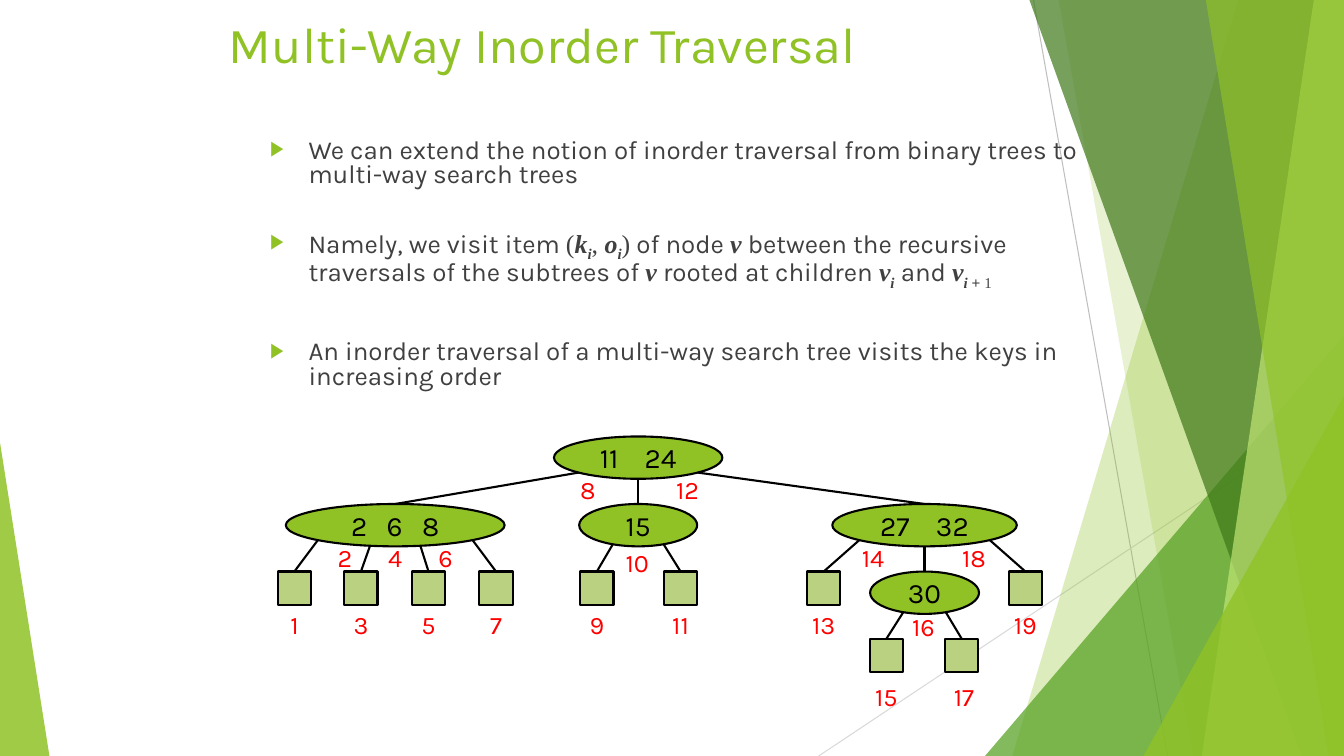
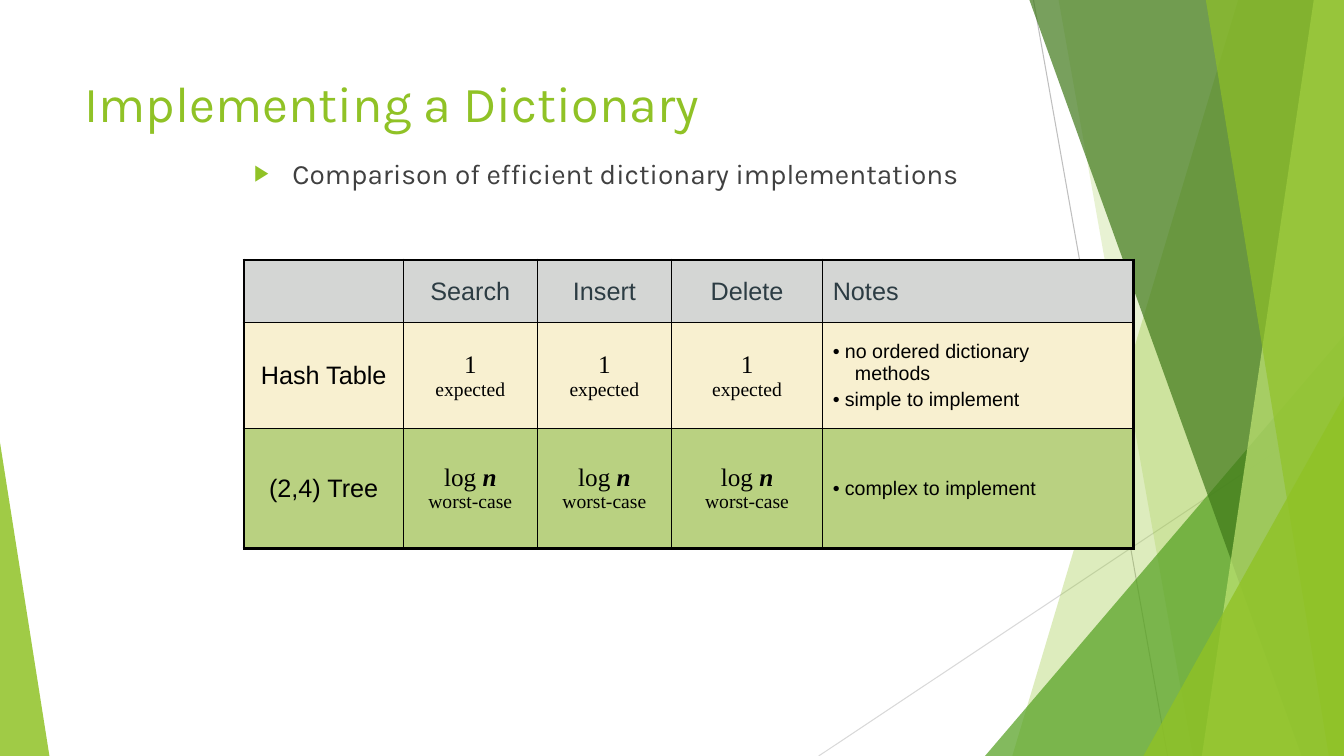
import math

from lxml import etree
from pptx import Presentation
from pptx.dml.color import RGBColor
from pptx.enum import shapes, text
from pptx.oxml import ns
from pptx.util import Inches, Pt

WIDTH, HEIGHT = 13.33, 7.5
GREEN = RGBColor(0x90, 0xC2, 0x26)
MID_GREEN = RGBColor(0x54, 0xA0, 0x21)
DARK_GREEN = RGBColor(0x3F, 0x78, 0x19)
LIME = RGBColor(0xC0, 0xE4, 0x74)
SAGE = RGBColor(0xB9, 0xD1, 0x81)
CREAM = RGBColor(0xF8, 0xF0, 0xD0)
SILVER = RGBColor(0xD4, 0xD6, 0xD4)
SLATE = RGBColor(0x2C, 0x3C, 0x43)
BODY_GREY = RGBColor(0x40, 0x40, 0x40)
LINE_GREY = RGBColor(0xBF, 0xBF, 0xBF)
PALE_GREY = RGBColor(0xD9, 0xD9, 0xD9)
RED = RGBColor(0xFF, 0, 0)
BLACK = RGBColor(0, 0, 0)
KARLA, ARIAL, TIMES = "Karla", "Arial", "Times New Roman"
LEFT, CENTER = text.PP_ALIGN.LEFT, text.PP_ALIGN.CENTER

# Background: hairlines, then facets from back to front
HAIRLINES = [((10.25, 0), (11.58, HEIGHT), LINE_GREY),
             ((WIDTH, 4.03), (8.12, HEIGHT), PALE_GREY)]
# panel: left edge at top and bottom; triangle: left, top, width, apex
FACETS = [
    ("panel", (12.28, 10.04), GREEN, 30),
    ("panel", (10.5, 11.83), GREEN, 20),
    ("triangle", (9.77, 3.33, 3.56, 1), MID_GREEN, 72),
    ("panel", (10.21, 12.91), DARK_GREEN, 70),
    ("panel", (13.03, 11.92), LIME, 70),
    ("panel", (11.96, 13.18), GREEN, 65),
    ("triangle", (11.34, 3.93, 1.99, 1), GREEN, 80),
    ("triangle", (0, 4.39, 0.49, 0), GREEN, 85),
]

MATH = {"font": TIMES}
SYMBOL = {"font": TIMES, "bold": True, "italic": True}
INDEX = {**SYMBOL, "baseline": -25}

# Bullets: space before in points, spans
TRAVERSAL = [
    (0, [("We can extend the notion of inorder traversal from binary trees to "
          "multi-way search trees", {})]),
    (30, [("Namely, we visit item ", {}), ("(", MATH), ("k", SYMBOL), ("i", INDEX),
          (", ", MATH), ("o", SYMBOL), ("i", INDEX), (")", MATH),
          (" of node ", {}), ("v", SYMBOL),
          (" between the recursive traversals of the subtrees of ", {}),
          ("v", SYMBOL), (" rooted at children ", {}), ("v", SYMBOL), ("i", INDEX),
          (" and ", {}), ("v", SYMBOL), ("i ", INDEX),
          ("+ ", {"font": ARIAL, "baseline": -25}),
          ("1", {"font": TIMES, "baseline": -25})]),
    (38, [("An inorder traversal of a multi-way search tree visits the keys in "
           "increasing order", {})]),
]
COMPARISON = [(0, [("Comparison of efficient dictionary implementations", {})])]

# Tree: centre, level, width, keys, extra space between keys in points
TREE_TOP, LEVEL_STEP = 4.33, 0.67
NODE_HEIGHT, LEAF = 0.42, 0.33
NODES = {
    "root": (6.33, 0, 1.67, ["11", "24"], 14),
    "left": (3.92, 1, 2.17, ["2", "6", "8"], 9),
    "middle": (6.33, 1, 1.17, ["15"], 0),
    "right": (9.17, 1, 1.83, ["27", "32"], 14),
    "inner": (9.17, 2, 1.08, ["30"], 0),
}
LEAVES = {2: [2.92, 3.58, 4.25, 4.92, 5.92, 6.75, 8.17, 10.17],
          3: [8.79, 9.54]}
# Children with where their edge leaves the parent, as a share of its half width
CORNER = math.sqrt(0.5)
EDGES = {
    "root": [("left", -CORNER), ("middle", 0), ("right", CORNER)],
    "left": [(2.92, -CORNER), (3.58, -0.23), (4.25, 0.23), (4.92, CORNER)],
    "middle": [(5.92, -0.43), (6.75, 0.43)],
    "right": [(8.17, -CORNER), ("inner", 0), (10.17, CORNER)],
    "inner": [(8.79, -0.39), (9.54, 0.39)],
}
# Visit numbers: top of the row, then number and centre
VISITS = {
    4.66: [("8", 5.83), ("12", 6.82)],
    5.33: [("2", 3.42), ("4", 3.92), ("6", 4.42), ("14", 8.66), ("18", 9.66)],
    5.38: [("10", 6.32)],
    6.0: list(zip(["1", "3", "5", "7", "9", "11", "13", "19"], LEAVES[2])),
    6.02: [("16", 9.16)],
    6.71: [("15", 8.79), ("17", 9.56)],
}

# Table: every cell is a list of lines, each line a list of spans
COLUMNS = [1.58, 1.33, 1.33, 1.5, 3.08]
ROWS = [(0.62, SILVER), (1.05, CREAM), (1.19, SAGE)]
HEAD = {"font": ARIAL, "color": SLATE}
NAME = {"font": ARIAL}
SMALL = {"font": TIMES, "size": 14}
EXPECTED = [[("1", MATH)], [("expected", SMALL)]]
WORST_CASE = [[("log ", MATH), ("n", SYMBOL)], [("worst-case", SMALL)]]
CELLS = [
    [[]] + [[[(label, HEAD)]] for label in ("Search", "Insert", "Delete", "Notes")],
    [[[("Hash Table", NAME)]]] + [EXPECTED] * 3,
    [[[("(2,4) Tree", NAME)]]] + [WORST_CASE] * 3,
]
# Notes by row: text, bulleted or continued
NOTES = {1: [("no ordered dictionary", True), ("methods", False),
             ("simple to implement", True)],
         2: [("complex to implement", True)]}


def add_element(parent, tag, **attributes):
    return etree.SubElement(parent, ns.qn(tag), attributes)


def add_span(para, words, font=KARLA, size=18, color=BLACK, bold=False,
             italic=False, baseline=0, spacing=0):
    span = para.add_run()
    span.text = words
    span.font.name, span.font.size = font, Pt(size)
    span.font.bold, span.font.italic = bold, italic
    span.font.color.rgb = color
    properties = span._r.get_or_add_rPr()
    if baseline:
        properties.set("baseline", str(baseline * 1000))
    if spacing:
        properties.set("spc", str(spacing * 100))


def add_spans(para, spans, **common):
    for words, style in spans:
        add_span(para, words, **{**common, **style})


def set_indent(para, margin, first=0.0, bullet=None, color=None, percent=100):
    properties = para._p.get_or_add_pPr()
    properties.set("marL", str(Inches(margin)))
    properties.set("indent", str(Inches(first)))
    if bullet:
        if color is not None:
            holder = add_element(properties, "a:buClr")
            add_element(holder, "a:srgbClr", val=str(color))
        add_element(properties, "a:buSzPct", val=str(percent * 1000))
        add_element(properties, "a:buFont", typeface=ARIAL)
        add_element(properties, "a:buChar", char=bullet)


def set_box(shape, left, top, width, height):
    shape.left, shape.top = Inches(left), Inches(top)
    shape.width, shape.height = Inches(width), Inches(height)


def paint(shape, fill, outline=None, opacity=100):
    shape.shadow.inherit = False
    shape.fill.solid()
    shape.fill.fore_color.rgb = fill
    if opacity < 100:
        color = shape.element.xpath("./p:spPr/a:solidFill/a:srgbClr")[0]
        add_element(color, "a:alpha", val=str(opacity * 1000))
    if outline is None:
        shape.line.fill.background()
    else:
        shape.line.color.rgb, shape.line.width = outline, Pt(1.5)


def add_line(canvas, start, end, color, width):
    points = [Inches(value) for value in (*start, *end)]
    line = canvas.add_connector(shapes.MSO_CONNECTOR.STRAIGHT, *points)
    line.line.color.rgb, line.line.width = color, Pt(width)
    add_element(line.element.spPr, "a:effectLst")
    return line


def add_preset(canvas, kind, left, top, width, height):
    return canvas.add_shape(kind, Inches(left), Inches(top), Inches(width), Inches(height))


def decorate_master(deck, page):
    """Draw the background on a page, then move it behind the master's placeholders."""
    group = page.shapes.add_group_shape()
    for start, end, color in HAIRLINES:
        add_line(group.shapes, start, end, color, 0.75)
    for kind, place, color, opacity in FACETS:
        if kind == "panel":
            top_left, bottom_left = place
            corners = [(WIDTH, 0), (WIDTH, HEIGHT), (bottom_left, HEIGHT)]
            builder = group.shapes.build_freeform(Inches(top_left), 0)
            builder.add_line_segments([(Inches(x), Inches(y)) for x, y in corners])
            facet = builder.convert_to_shape()
        else:
            left, top, width, apex = place
            facet = add_preset(group.shapes, shapes.MSO_SHAPE.ISOSCELES_TRIANGLE,
                               left, top, width, HEIGHT - top)
            facet.adjustments[0] = apex
        paint(facet, color, opacity=opacity)
    for number, label in enumerate(group.element.xpath(".//p:cNvPr"), 100):
        label.set("id", str(number))
    deck.slide_master.shapes[0].element.addprevious(group.element)


def add_page(deck, title, title_box, bullets, body_box, size, line_spacing):
    page = deck.slides.add_slide(deck.slide_layouts[1])
    body = page.placeholders[1]
    for holder, place in ((page.shapes.title, title_box), (body, body_box)):
        set_box(holder, *place)
        holder.text_frame.auto_size = text.MSO_AUTO_SIZE.NONE
        holder.text_frame.vertical_anchor = text.MSO_ANCHOR.TOP
    heading = page.shapes.title.text_frame.paragraphs[0]
    heading.alignment = LEFT
    add_span(heading, title, size=36, color=GREEN)
    for number, (gap, spans) in enumerate(bullets):
        frame = body.text_frame
        para = frame.add_paragraph() if number else frame.paragraphs[0]
        set_indent(para, 0.38, -0.38, "▶", GREEN, 80)
        para.space_before, para.line_spacing = Pt(gap), line_spacing
        add_spans(para, spans, size=size, color=BODY_GREY)
    return page


def add_tree(page):
    drawn = {}
    for name, (center, level, width, keys, gap) in NODES.items():
        node = add_preset(page.shapes, shapes.MSO_SHAPE.OVAL, center - width / 2,
                          TREE_TOP + level * LEVEL_STEP, width, NODE_HEIGHT)
        paint(node, GREEN, BLACK)
        node.text_frame.word_wrap = False
        node.text_frame.vertical_anchor = text.MSO_ANCHOR.MIDDLE
        para = node.text_frame.paragraphs[0]
        para.alignment = CENTER
        for number, key in enumerate(keys):
            if number:
                add_span(para, " ", size=20, spacing=gap)
            add_span(para, key, size=20)
        drawn[name] = node
    for level, centers in LEAVES.items():
        for center in centers:
            drawn[center] = add_preset(page.shapes, shapes.MSO_SHAPE.RECTANGLE, center - LEAF / 2,
                                       TREE_TOP + level * LEVEL_STEP, LEAF, LEAF)
            paint(drawn[center], SAGE, BLACK)
    for parent, children in EDGES.items():
        center, level, width = NODES[parent][:3]
        middle = TREE_TOP + level * LEVEL_STEP + NODE_HEIGHT / 2
        for child, share in children:
            start = (center + share * width / 2,
                     middle + NODE_HEIGHT / 2 * math.sqrt(1 - share ** 2))
            edge = add_line(page.shapes, start, start, BLACK, 1.5)
            edge.end_connect(drawn[child], 0)
    for top, visits in VISITS.items():
        for number, center in visits:
            box = page.shapes.add_textbox(Inches(center - 0.24), Inches(top),
                                          Inches(0.48), Inches(0.4))
            box.text_frame.word_wrap = False
            para = box.text_frame.paragraphs[0]
            para.alignment = CENTER
            add_span(para, number, color=RED)


def set_borders(cell, **widths):
    properties = cell._tc.get_or_add_tcPr()
    for number, side in enumerate("LRTB"):
        border = etree.Element(ns.qn(f"a:ln{side}"), w=str(Pt(widths[side])))
        fill = add_element(border, "a:solidFill")
        add_element(fill, "a:srgbClr", val=str(BLACK))
        properties.insert(number, border)


def add_comparison_table(page):
    frame = page.shapes.add_table(len(ROWS), len(COLUMNS), Inches(2.42), Inches(2.58),
                                  Inches(sum(COLUMNS)), Inches(sum(row[0] for row in ROWS)))
    table = frame.table
    table.horz_banding = False
    last_row, last_column = len(ROWS) - 1, len(COLUMNS) - 1
    for column, width in zip(table.columns, COLUMNS):
        column.width = Inches(width)
    for r, (height, fill) in enumerate(ROWS):
        table.rows[r].height = Inches(height)
        for c in range(len(COLUMNS)):
            cell = table.cell(r, c)
            cell.fill.solid()
            cell.fill.fore_color.rgb = fill
            cell.vertical_anchor = text.MSO_ANCHOR.MIDDLE
            set_borders(cell, L=1 if c else 2.25, R=2.25 if c == last_column else 1,
                        T=1 if r else 2.25, B=2.25 if r == last_row else 1)
            is_note = c == last_column and r in NOTES
            for number, line in enumerate(NOTES[r] if is_note else CELLS[r][c]):
                lines = cell.text_frame
                para = lines.add_paragraph() if number else lines.paragraphs[0]
                para.alignment = LEFT if c == last_column else CENTER
                if is_note:
                    words, bulleted = line
                    if bulleted:
                        set_indent(para, 0.12, -0.12, "•")
                    else:
                        set_indent(para, 0.22)
                    para.space_before = Pt(2.8 if bulleted and number else 0)
                    add_span(para, words, font=ARIAL, size=14)
                else:
                    add_spans(para, line)


def main():
    deck = Presentation()
    deck.slide_width, deck.slide_height = Inches(WIDTH), Inches(HEIGHT)
    page = add_page(deck, "Multi-Way Inorder Traversal", (2.17, 0.08, 9, 1),
                    TRAVERSAL, (2.58, 1.33, 8.5, 2.58), 18.5, 0.8)
    decorate_master(deck, page)
    add_tree(page)
    page = add_page(deck, "Implementing a Dictionary", (0.74, 0.67, 9.4, 1.44),
                    COMPARISON, (2.42, 1.5, 8.5, 0.67), 20, 1.0)
    add_comparison_table(page)
    deck.save("out.pptx")


if __name__ == "__main__":
    main()
